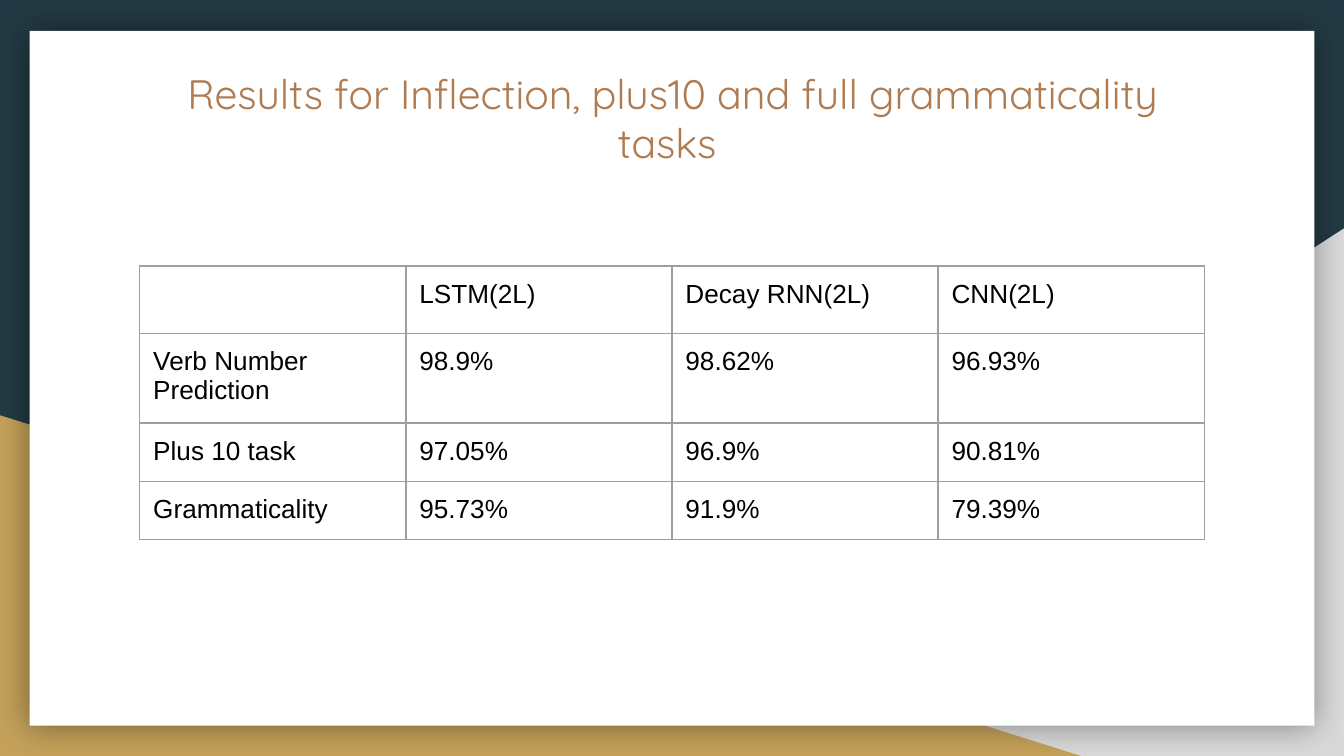
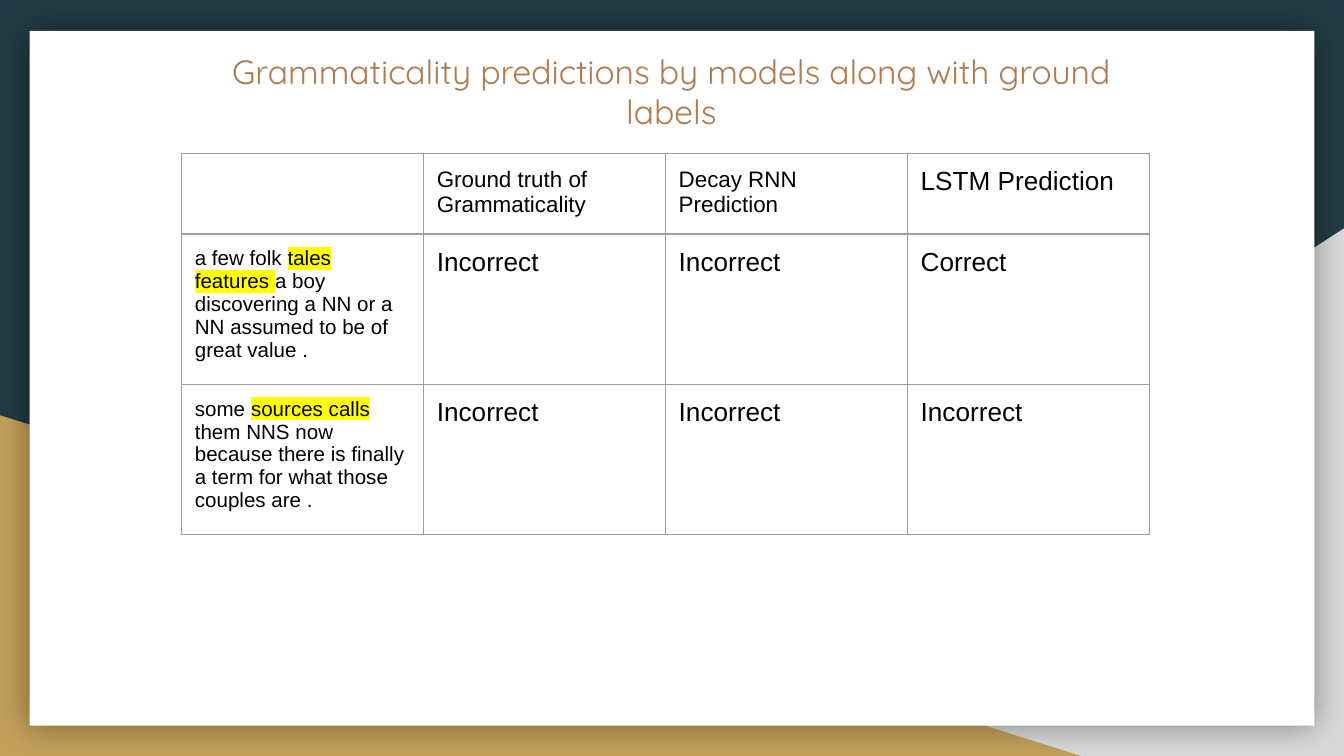
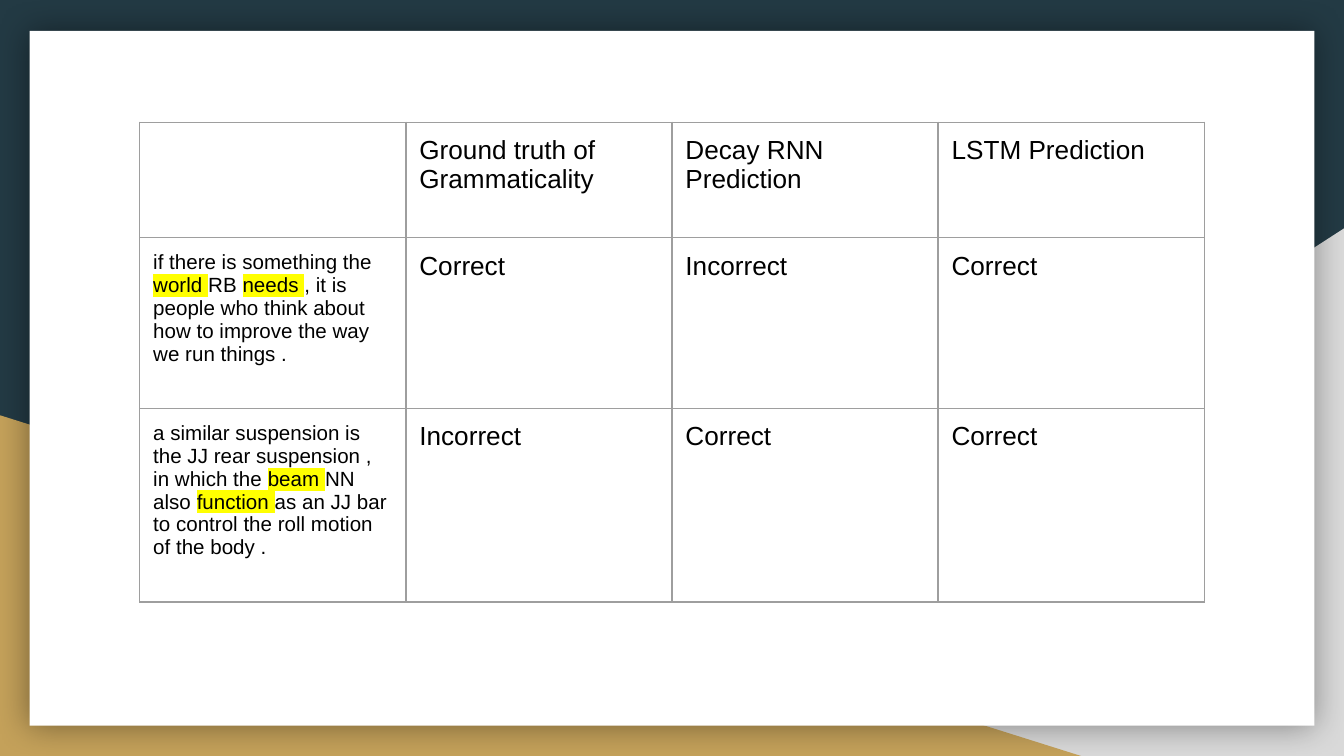
from dataclasses import dataclass

from lxml.etree import SubElement
from pptx import Presentation
from pptx.dml.color import RGBColor
from pptx.enum.shapes import MSO_SHAPE
from pptx.enum.text import PP_ALIGN
from pptx.oxml.ns import qn
from pptx.oxml.xmlchemy import OxmlElement
from pptx.shapes.autoshape import Shape
from pptx.slide import Slide
from pptx.table import _Cell
from pptx.text.text import TextFrame, _Paragraph
from pptx.util import Inches, Pt

NAVY = RGBColor(0x23, 0x3A, 0x44)
LIGHT_GRAY = RGBColor(0xD9, 0xD9, 0xD9)
GOLD = RGBColor(0xC4, 0xA1, 0x5A)
WHITE = RGBColor(0xFF, 0xFF, 0xFF)
BLACK = RGBColor(0x00, 0x00, 0x00)
BROWN = RGBColor(0xAF, 0x7B, 0x51)
BORDER_GRAY = RGBColor(0x9E, 0x9E, 0x9E)
YELLOW = RGBColor(0xFF, 0xFF, 0x00)

SLIDE_WIDTH = Inches(10)
SLIDE_HEIGHT = SLIDE_WIDTH * 9 // 16
TABLE_FRAME_SIDE = Inches(3.28)
TITLE_FONT = "Quicksand"
BODY_FONT = "Arial"
INSET = Inches(0.1)
HIGHLIGHT_MARK = "*"


@dataclass(frozen=True)
class BackdropShape:
    kind: MSO_SHAPE
    left: float
    top: float
    width: float
    height: float
    color: RGBColor
    flipped: bool = False
    shadowed: bool = False


@dataclass(frozen=True)
class Title:
    text: str
    left: float
    top: float
    width: float
    height: float
    size: int


@dataclass(frozen=True)
class ResultTable:
    """Words between highlight marks are drawn on yellow."""
    left: float
    top: float
    column_width: float
    row_heights: tuple[float, ...]
    header_sizes: tuple[int, ...]
    body_sizes: tuple[int, ...]
    rows: tuple[tuple[str, ...], ...]


@dataclass(frozen=True)
class ResultSlide:
    table: ResultTable
    title: Title | None = None


BACKDROP = (
    BackdropShape(MSO_SHAPE.RIGHT_TRIANGLE, 3.92, 1.7, 6.08, 3.93, LIGHT_GRAY, flipped=True),
    BackdropShape(MSO_SHAPE.RIGHT_TRIANGLE, 0, 3.09, 8.06, 2.54, GOLD),
    BackdropShape(MSO_SHAPE.RECTANGLE, 0.22, 0.23, 9.56, 5.17, WHITE, shadowed=True),
)

PREDICTION_HEADER = (
    "", "Ground truth of Grammaticality", "Decay RNN Prediction", "LSTM Prediction",
)

SLIDES = (
    ResultSlide(
        title=Title("Results for Inflection, plus10 and full grammaticality tasks ",
                    0.9, 0.41, 8.21, 1.04, 22),
        table=ResultTable(
            1.04, 1.98, 1.98, (0.42, 0.42, 0.42, 0.42),
            header_sizes=(18, 14, 14, 14),
            body_sizes=(14, 14, 14, 14),
            rows=(
                ("", "LSTM(2L)", "Decay RNN(2L)", "CNN(2L)"),
                ("Verb Number Prediction", "98.9%", "98.62%", "96.93%"),
                ("Plus 10 task", "97.05%", "96.9%", "90.81%"),
                ("Grammaticality", "95.73%", "91.9%", "79.39%"),
            ),
        ),
    ),
    ResultSlide(
        title=Title("Grammaticality predictions by models along with ground labels",
                    1.29, 0.28, 7.41, 0.56, 18),
        table=ResultTable(
            1.35, 1.14, 1.8, (0.39, 0.46, 0.52),
            header_sizes=(18, 12, 12, 14),
            body_sizes=(11, 14, 14, 14),
            rows=(
                PREDICTION_HEADER,
                ("a few folk *tales features *a boy discovering a NN or a NN "
                 "assumed to be of great value .",
                 "Incorrect", "Incorrect", "Correct"),
                ("some *sources calls *them NNS now because there is finally a term "
                 "for what those couples are .",
                 "Incorrect", "Incorrect", "Incorrect"),
            ),
        ),
    ),
    ResultSlide(
        table=ResultTable(
            1.04, 0.91, 1.98, (0.86, 1.27, 1.44),
            header_sizes=(18, 14, 14, 14),
            body_sizes=(11, 14, 14, 14),
            rows=(
                PREDICTION_HEADER,
                ("if there is something the *world *RB *needs *, it is people who "
                 "think about how to improve the way we run things .",
                 "Correct", "Incorrect", "Correct"),
                ("a similar suspension is the JJ rear suspension , in which the "
                 "*beam *NN also *function *as an JJ bar to control the roll motion "
                 "of the body .",
                 "Incorrect", "Correct", "Correct"),
            ),
        ),
    ),
)


def set_insets(target: TextFrame | _Cell) -> None:
    target.margin_left = target.margin_right = INSET
    target.margin_top = target.margin_bottom = INSET


def add_run(paragraph: _Paragraph, text: str, font: str, size: int, color: RGBColor,
            highlighted: bool = False) -> None:
    run = paragraph.add_run()
    run.text = text
    run.font.name = font
    run.font.size = Pt(size)
    run.font.color.rgb = color
    if highlighted:
        highlight = OxmlElement("a:highlight")
        SubElement(highlight, qn("a:srgbClr"), val=str(YELLOW))
        run.font._element.find(qn("a:solidFill")).addnext(highlight)


def set_empty_line_font(paragraph: _Paragraph, size: int) -> None:
    """Fix the line height of a paragraph that has no runs."""
    properties = SubElement(paragraph._p, qn("a:endParaRPr"), sz=str(size * 100))
    SubElement(properties, qn("a:latin"), typeface=BODY_FONT)


def add_soft_shadow(shape: Shape) -> None:
    effects = shape.element.spPr.find(qn("a:effectLst"))
    shadow = SubElement(effects, qn("a:outerShdw"), blurRad=str(Pt(18)), dist="0",
                        dir="0", algn="ctr", rotWithShape="0")
    color = SubElement(shadow, qn("a:srgbClr"), val=str(BLACK))
    SubElement(color, qn("a:alpha"), val="40000")


def draw_backdrop(slide: Slide) -> None:
    for item in BACKDROP:
        shape = slide.shapes.add_shape(
            item.kind, Inches(item.left), Inches(item.top),
            Inches(item.width), Inches(item.height))
        shape.fill.solid()
        shape.fill.fore_color.rgb = item.color
        shape.line.fill.background()
        shape.shadow.inherit = False
        if item.flipped:
            shape.element.spPr.find(qn("a:xfrm")).set("flipH", "1")
        if item.shadowed:
            add_soft_shadow(shape)


def draw_title(slide: Slide, title: Title) -> None:
    box = slide.shapes.add_textbox(Inches(title.left), Inches(title.top),
                                   Inches(title.width), Inches(title.height))
    frame = box.text_frame
    frame.word_wrap = True
    set_insets(frame)
    paragraph = frame.paragraphs[0]
    paragraph.alignment = PP_ALIGN.CENTER
    add_run(paragraph, title.text, TITLE_FONT, title.size, BROWN)


def set_borders(cell: _Cell) -> None:
    properties = cell._tc.get_or_add_tcPr()
    for index, side in enumerate(("lnL", "lnR", "lnT", "lnB")):
        line = OxmlElement(f"a:{side}")
        line.set("w", str(Pt(0.75)))
        fill = SubElement(line, qn("a:solidFill"))
        SubElement(fill, qn("a:srgbClr"), val=str(BORDER_GRAY))
        properties.insert(index, line)


def fill_cell(cell: _Cell, text: str, size: int) -> None:
    cell.fill.background()
    set_borders(cell)
    set_insets(cell)
    paragraph = cell.text_frame.paragraphs[0]
    if not text:
        set_empty_line_font(paragraph, size)
        return
    for index, part in enumerate(text.split(HIGHLIGHT_MARK)):
        add_run(paragraph, part, BODY_FONT, size, BLACK, highlighted=index % 2 == 1)


def draw_table(slide: Slide, content: ResultTable) -> None:
    frame = slide.shapes.add_table(
        len(content.rows), len(content.header_sizes), Inches(content.left),
        Inches(content.top), TABLE_FRAME_SIDE, TABLE_FRAME_SIDE)
    table = frame.table
    table.first_row = False
    table.horz_banding = False
    for column in table.columns:
        column.width = Inches(content.column_width)
    for row_index, texts in enumerate(content.rows):
        table.rows[row_index].height = Inches(content.row_heights[row_index])
        sizes = content.body_sizes if row_index else content.header_sizes
        for column_index, (text, size) in enumerate(zip(texts, sizes)):
            fill_cell(table.cell(row_index, column_index), text, size)
    frame.width = frame.height = TABLE_FRAME_SIDE


def main() -> None:
    presentation = Presentation()
    presentation.slide_width = SLIDE_WIDTH
    presentation.slide_height = SLIDE_HEIGHT
    background = presentation.slide_master.background.fill
    background.solid()
    background.fore_color.rgb = NAVY
    blank_layout = presentation.slide_layouts[6]
    for content in SLIDES:
        slide = presentation.slides.add_slide(blank_layout)
        draw_backdrop(slide)
        if content.title:
            draw_title(slide, content.title)
        draw_table(slide, content.table)
    presentation.save("out.pptx")


if __name__ == "__main__":
    main()
